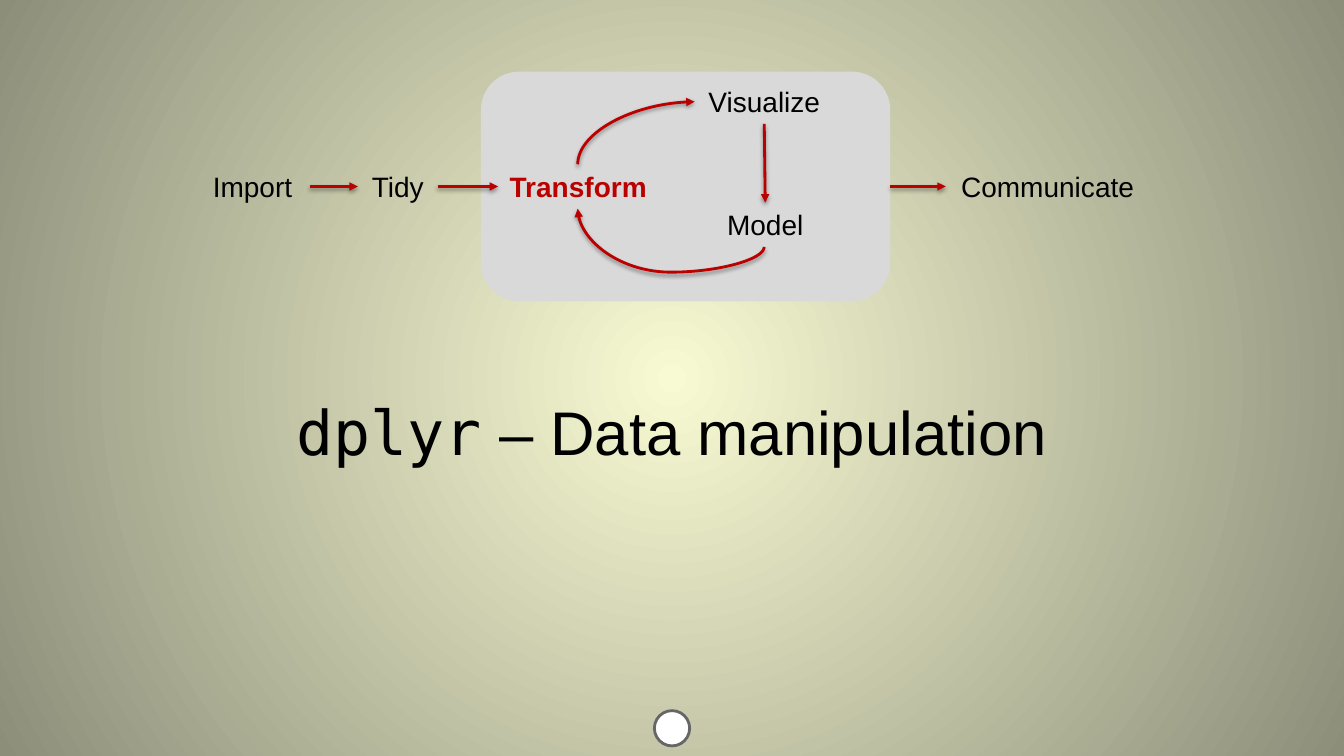
from pptx import Presentation
from pptx.dml.color import RGBColor
from pptx.enum.shapes import MSO_CONNECTOR, MSO_SHAPE
from pptx.enum.text import MSO_ANCHOR, MSO_AUTO_SIZE, PP_ALIGN
from pptx.oxml import parse_xml
from pptx.oxml.ns import nsdecls
from pptx.util import Pt

PX = 9144  # 100 px to the inch
BLACK = RGBColor(0x00, 0x00, 0x00)
WHITE = RGBColor(0xFF, 0xFF, 0xFF)
RED = RGBColor(0xBB, 0x00, 0x00)
PANEL_GREY = RGBColor(0xD9, 0xD9, 0xD9)
RING_GREY = RGBColor(0x66, 0x66, 0x66)
CENTER, MIDDLE = PP_ALIGN.CENTER, MSO_ANCHOR.MIDDLE
STRAIGHT, CURVE = MSO_CONNECTOR.STRAIGHT, MSO_CONNECTOR.CURVE
TOP, LEFT, BOTTOM, RIGHT = range(4)


def style_arrow(c):
    c.line.color.rgb = RED
    c.line.width = Pt(2)
    c.line._get_or_add_ln().append(
        parse_xml(f'<a:tailEnd {nsdecls("a")} type="triangle"/>'))
    c._element.spPr.append(parse_xml(
        f'<a:effectLst {nsdecls("a")}>'
        '<a:outerShdw blurRad="39370" dist="20320" dir="5400000" rotWithShape="0">'
        '<a:srgbClr val="000000"><a:alpha val="38000"/></a:srgbClr>'
        '</a:outerShdw></a:effectLst>'))


def add_text(x, y, w, h, runs):
    """Add a centred text box; runs holds (text, size, font, colour, bold)."""
    box = s.shapes.add_textbox(x * PX, y * PX, w * PX, h * PX)
    tf = box.text_frame
    tf.word_wrap = True
    p = tf.paragraphs[0]
    p.alignment = CENTER
    for text, size, font, color, bold in runs:
        r = p.add_run()
        r.text = text
        r.font.size = Pt(size)
        r.font.name = font
        r.font.color.rgb = color
        r.font.bold = bold
    return box


prs = Presentation()
prs.slide_width, prs.slide_height = 1333 * PX, 750 * PX
s = prs.slides.add_slide(prs.slide_layouts[6])

# Radial background
s._element.cSld.insert(0, parse_xml(
    f'<p:bg {nsdecls("p", "a")}><p:bgPr><a:gradFill rotWithShape="1"><a:gsLst>'
    '<a:gs pos="0"><a:srgbClr val="F8FAD3"/></a:gs>'
    '<a:gs pos="100000"><a:srgbClr val="8D8E7A"/></a:gs></a:gsLst>'
    '<a:path path="circle">'
    '<a:fillToRect l="50000" t="50000" r="50000" b="50000"/></a:path>'
    '</a:gradFill><a:effectLst/></p:bgPr></p:bg>'))

# Title
title = add_text(100, 339, 1133, 177, [
    ("dplyr", 44, "DejaVu Sans Mono", BLACK, False),
    (" – Data manipulation", 44, "Arial", BLACK, False)])
title.text_frame.vertical_anchor = MIDDLE

# Panel around the exploration loop
panel = s.shapes.add_shape(MSO_SHAPE.ROUNDED_RECTANGLE,
                           477 * PX, 71 * PX, 406 * PX, 228 * PX)
panel.shadow.inherit = False
panel.fill.solid()
panel.fill.fore_color.rgb = PANEL_GREY
panel.line.fill.background()

# Workflow steps
steps = {"Panel": panel}
for name, x, y, w in [
    ("Import", 194, 163, 113),
    ("Tidy", 355, 163, 79),
    ("Transform", 494, 163, 159),
    ("Visualize", 689, 79, 138),
    ("Model", 709, 201, 100),
    ("Communicate", 938, 163, 202),
]:
    active = name == "Transform"
    steps[name] = add_text(x, y, w, 44, [
        (name, 20, "Arial", RED if active else BLACK, active)])
    steps[name].text_frame.auto_size = MSO_AUTO_SIZE.SHAPE_TO_FIT_TEXT

# Straight arrows
for start, start_side, end, end_side in [
    ("Import", RIGHT, "Tidy", LEFT),
    ("Tidy", RIGHT, "Transform", LEFT),
    ("Panel", RIGHT, "Communicate", LEFT),
    ("Visualize", BOTTOM, "Model", TOP),
]:
    c = s.shapes.add_connector(STRAIGHT, 0, 0, 0, 0)
    c.begin_connect(steps[start], start_side)
    c.end_connect(steps[end], end_side)
    style_arrow(c)

# Curved arrows, laid out unrotated about their centre and turned by 90 degrees
for x1, y1, x2, y2, preset, bend in [
    (758, 245, 573, 207, "curvedConnector3", -65900),
    (573, 163, 689, 101, "curvedConnector2", None),
]:
    cx, cy = (x1 + x2) / 2, (y1 + y2) / 2
    dx, dy = (x1 - x2) / 2, (y1 - y2) / 2
    c = s.shapes.add_connector(CURVE, int((cx + dy) * PX), int((cy - dx) * PX),
                               int((cx - dy) * PX), int((cy + dx) * PX))
    spPr = c._element.spPr
    spPr.xfrm.set("rot", "5400000")
    spPr.prstGeom.set("prst", preset)
    if bend is not None:
        spPr.prstGeom.get_or_add_avLst().append(parse_xml(
            f'<a:gd {nsdecls("a")} name="adj1" fmla="val {bend}"/>'))
    style_arrow(c)

# Ring at the foot
ring = s.shapes.add_shape(MSO_SHAPE.OVAL, 649 * PX, 705 * PX, 35 * PX, 35 * PX)
ring.shadow.inherit = False
ring.fill.solid()
ring.fill.fore_color.rgb = WHITE
ring.line.color.rgb = RING_GREY
ring.line.width = Pt(2)

prs.save("out.pptx")
